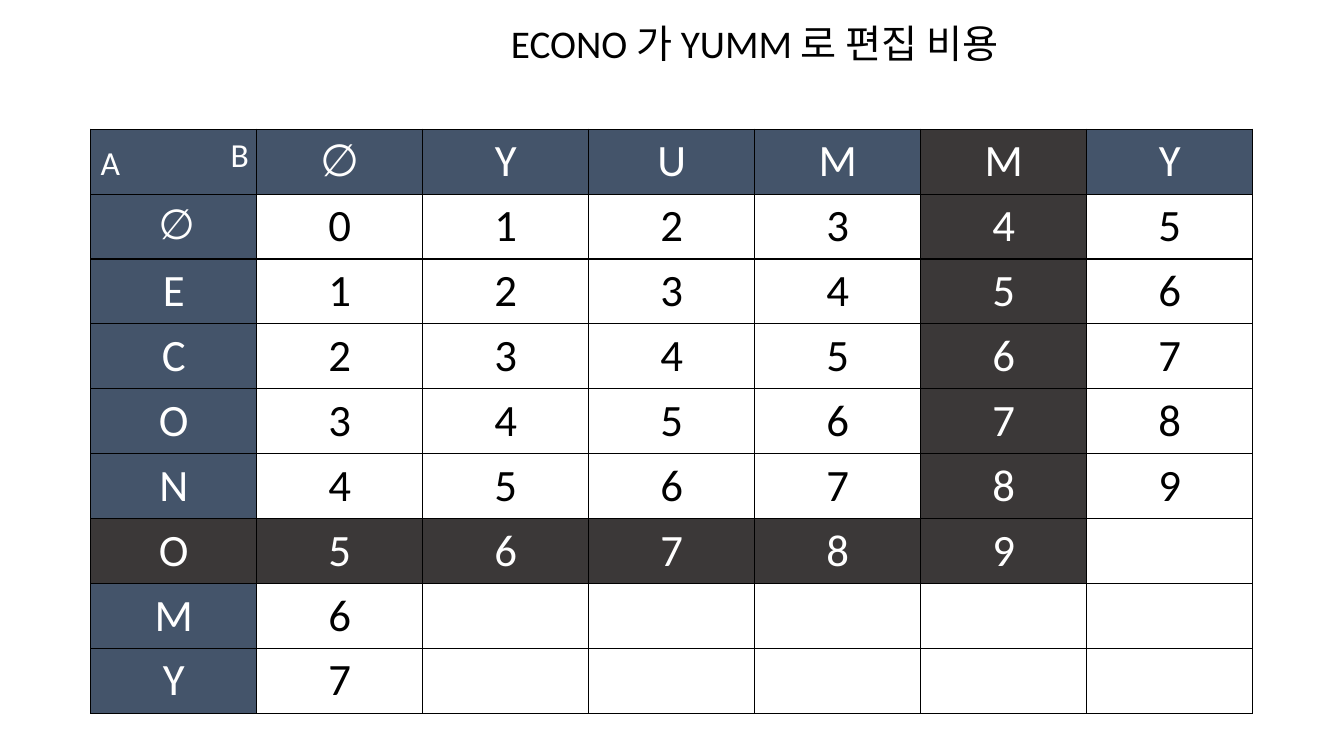
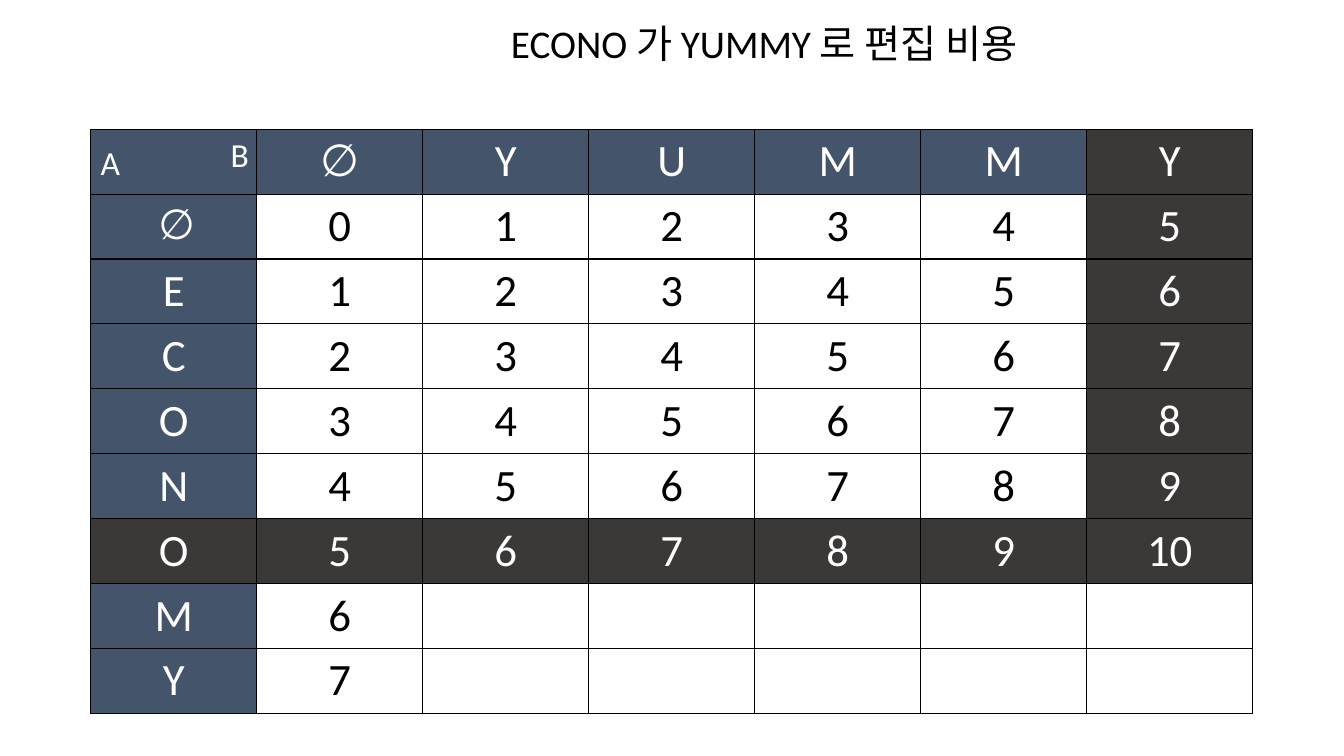
from dataclasses import dataclass

from lxml.etree import SubElement
from pptx import Presentation
from pptx.dml.color import RGBColor as RGB
from pptx.enum.text import MSO_ANCHOR as ANCHOR, MSO_AUTO_SIZE as AUTO, PP_ALIGN as ALIGN
from pptx.oxml.ns import qn
from pptx.util import Pt


@dataclass(frozen=True)
class Theme:
    font: str = "Calibri"
    black: RGB = RGB(0, 0, 0)
    white: RGB = RGB(255, 255, 255)
    header: RGB = RGB(0x44, 0x54, 0x6A)
    active: RGB = RGB(0x3B, 0x38, 0x38)
    title: int = 28
    cell: int = 32
    empty_row: int = 30
    spacer: int = 18
    corner: int = 24
    border: int = 1


T = Theme()


def write(p, text, size=T.cell, color=T.black, align=ALIGN.LEFT):
    """Add a formatted run to a paragraph."""
    p.alignment = align
    r = p.add_run()
    r.text = text
    r.font.name, r.font.size, r.font.color.rgb = T.font, Pt(size), color


def add_borders(cell):
    tcPr = cell._tc.get_or_add_tcPr()
    for side in ("a:lnL", "a:lnR", "a:lnT", "a:lnB"):
        ln = SubElement(tcPr, qn(side), w=str(Pt(T.border)))
        fill = SubElement(ln, qn("a:solidFill"))
        SubElement(fill, qn("a:srgbClr"), val=str(T.black))


# Edit-distance grid: words run down (A) and across (B)
DOWN, ACROSS = "∅ECONOMY", "∅YUMMY"
ROWS, COLS = len(DOWN) + 1, len(ACROSS) + 1
LEFT, TOP, COL_W, ROW_H = 64.8, 92.3, 118.6, 46.3
ACTIVE_ROW = 6

# Title, title width, highlighted column
STEPS = [
    ("ECONO 가 YUMM 로 편집 비용", 380.9, 5),
    ("ECONO 가 YUMMY 로 편집 비용", 394.6, 6),
]
CORNER = [("A", LEFT, 97.9, 28.8), ("B", 157.7, TOP, 27.4)]

prs = Presentation()
prs.slide_width, prs.slide_height = Pt(960), Pt(540)

for title, title_w, active_col in STEPS:
    s = prs.slides.add_slide(prs.slide_layouts[5])

    # Title
    sp = s.shapes.title
    sp.left, sp.top, sp.width, sp.height = Pt(357.8), Pt(10), Pt(title_w), Pt(41)
    tf = sp.text_frame
    tf.word_wrap, tf.auto_size, tf.vertical_anchor = True, AUTO.NONE, ANCHOR.TOP
    write(tf.paragraphs[0], title, size=T.title)

    # Table
    table = s.shapes.add_table(ROWS, COLS, Pt(LEFT), Pt(TOP),
                               Pt(COL_W * COLS), Pt(ROW_H * ROWS)).table
    table.first_row = table.horz_banding = False
    for col in table.columns:
        col.width = Pt(COL_W)
    for row in table.rows:
        row.height = Pt(ROW_H)

    for row in range(ROWS):
        for col in range(COLS):
            cell = table.cell(row, col)
            p = cell.text_frame.paragraphs[0]
            is_header = row == 0 or col == 0
            is_active = ((col == active_col and row <= ACTIVE_ROW)
                         or (row == ACTIVE_ROW and col <= active_col))
            is_solved = (col == 1 or row < ACTIVE_ROW
                         or (row == ACTIVE_ROW and col <= active_col))

            add_borders(cell)
            cell.fill.solid()
            cell.fill.fore_color.rgb = (T.active if is_active else
                                        T.header if is_header else T.white)
            color = T.white if is_header or is_active else T.black

            if row == 0 and col == 0:
                continue
            if row == 0:
                write(p, ACROSS[col - 1], color=color, align=ALIGN.CENTER)
            elif col == 0 and row == 1:
                write(p, " ", size=T.spacer, color=color, align=ALIGN.CENTER)
                write(p, DOWN[0], size=T.empty_row, color=color, align=ALIGN.CENTER)
            elif col == 0:
                write(p, DOWN[row - 1], color=color, align=ALIGN.CENTER)
            elif is_solved:
                write(p, str(row + col - 2), color=color, align=ALIGN.CENTER)

    # Corner labels
    for label, x, y, w in CORNER:
        tf = s.shapes.add_textbox(Pt(x), Pt(y), Pt(w), Pt(36)).text_frame
        tf.word_wrap, tf.auto_size = False, AUTO.SHAPE_TO_FIT_TEXT
        write(tf.paragraphs[0], label, size=T.corner, color=T.white)

prs.save("out.pptx")
